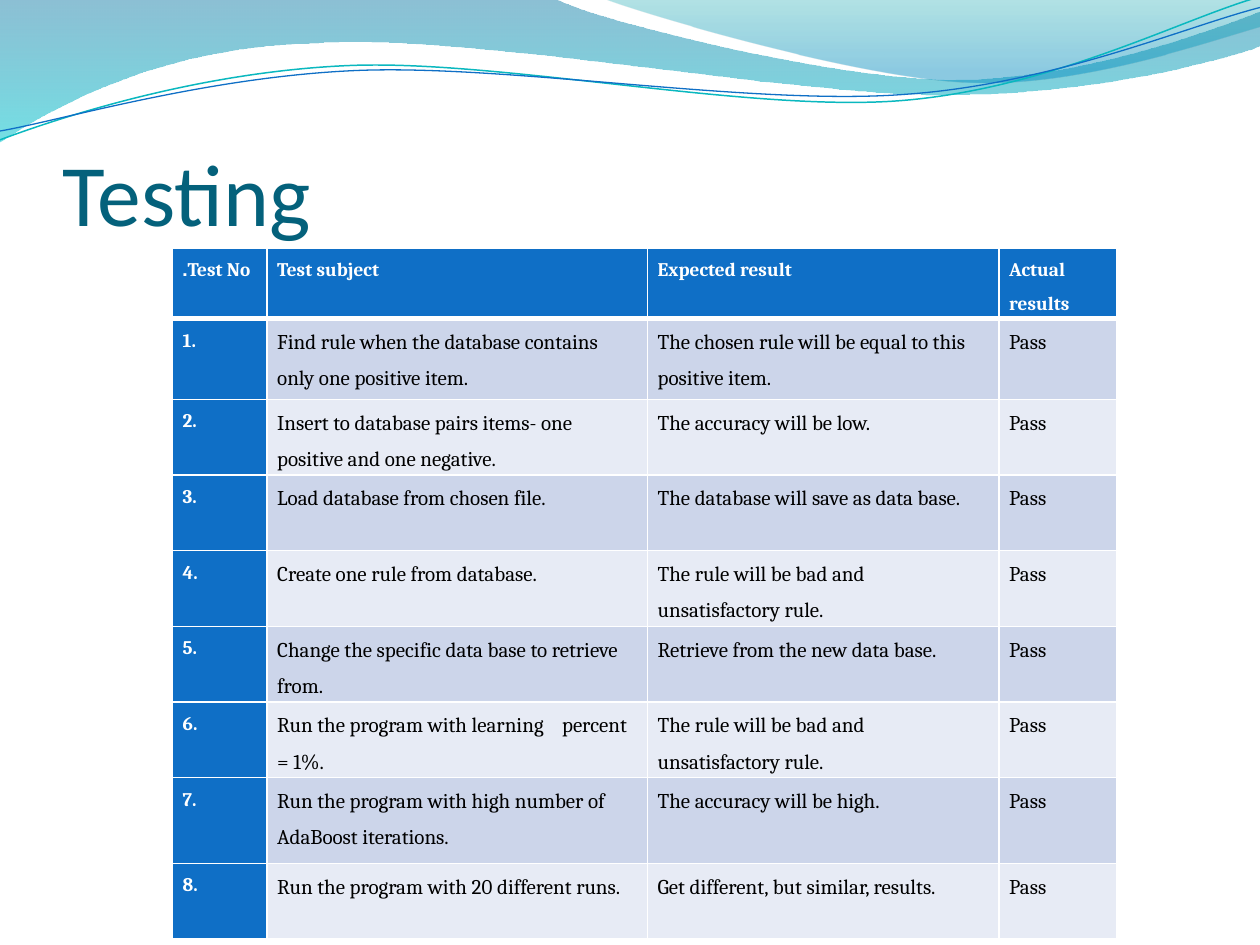
import math
import pptx
import pptx.util
import pptx.dml.color
import pptx.enum.text
import pptx.oxml
import pptx.oxml.ns

Inches = pptx.util.Inches
Pt = pptx.util.Pt
PP_ALIGN = pptx.enum.text.PP_ALIGN
qn = pptx.oxml.ns.qn
NS = pptx.oxml.ns.nsdecls("a")
TILT = 357.3
COLORS = {
    "white": "FFFFFF", "black": "000000", "title": "04617B", "blue": "0F6FC6",
    "teal": "0AB8BF", "odd": "CCD5EA", "even": "E7EBF5",
    "deep": "0074A1", "aqua": "00C6CF", "sea": "00A1A9", "sky": "008BBF",
}
HEADER = ["Test No.", "Test subject", "Expected result", "Actual results"]
TESTS = [
    ("Find rule when the database contains only one positive item.",
     "The chosen rule will be equal to this positive item."),
    ("Insert to database pairs items- one positive and one negative.",
     "The accuracy will be low."),
    ("Load database from chosen file.", "The database will save as data base."),
    ("Create one rule from database.", "The rule will be bad and unsatisfactory rule."),
    ("Change the specific data base to retrieve from.", "Retrieve from the new data base."),
    ("Run the program with learning    percent = 1%.",
     "The rule will be bad and unsatisfactory rule."),
    ("Run the program with high number of AdaBoost iterations.", "The accuracy will be high."),
    ("Run the program with 20 different runs.", "Get different, but similar, results."),
]
COLUMNS = [0.75, 3.02, 2.79, 0.93]
ROWS = [0.56, 0.64, 0.6, 0.6, 0.6, 0.6, 0.6, 0.68, 0.6]
BANDS = [
    ([(0, 0), (4.4, -0.01), (4.76, 0.17, 6.64, 0.63, 7.58, 0.63),
      (8.53, 0.63, 9.58, 0.26, 10, 0.09), (10.01, 0.36),
      (9.83, 0.44, 8.7, 0.76, 7.46, 0.75), (6.22, 0.75, 3.82, 0.28, 2.57, 0.34),
      (1.29, 0.36, 0.46, 0.83, -0.01, 1.13), (0, 0)],
     [(0, "deep", 45), (1, "aqua", 55)]),
    ([(4.79, -0.01), (5.09, 0.11, 6.82, 0.62, 7.69, 0.65),
      (8.56, 0.69, 9.61, 0.32, 10, 0.21), (10, 0), (4.79, -0.01)],
     [(0, "sea", 30), (0.8, "sky", 45)]),
]
LINES = [
    ([(0, 1.11), (0.48, 0.93, 1.58, 0.57, 2.77, 0.52),
      (3.95, 0.47, 5.93, 0.89, 7.13, 0.8), (8.33, 0.71, 9.38, 0.15, 9.98, -0.02)],
     (4.99, 0.58), "teal", 0.85),
    ([(0, 1.04), (0.47, 0.96, 1.64, 0.61, 2.83, 0.56),
      (4.03, 0.51, 5.97, 0.84, 7.17, 0.75), (8.36, 0.67, 9.41, 0.21, 10, 0.06)],
     (5, 0.59), "blue", 0.75),
]


def rgb(name):
    return pptx.dml.color.RGBColor.from_string(COLORS[name])


def set_attrs(obj, values):
    for name, value in values.items():
        setattr(obj, name, value)


def write(p, text, font, color):
    r = p.add_run()
    r.text = text
    set_attrs(r.font, font)
    r.font.color.rgb = rgb(color)


def level(step, center):
    angle = math.radians(360 - TILT)
    cos, sin = math.cos(angle), math.sin(angle)
    cx, cy = center
    flat = []
    for px, py in zip(step[::2], step[1::2]):
        dx, dy = px - cx, py - cy
        flat += [cx + dx * cos - dy * sin, cy + dx * sin + dy * cos]
    return flat


def add_curve(s, x, y, steps, close):
    points = [(Inches(x + px), Inches(y + py))
              for step in steps for px, py in zip(step[::2], step[1::2])]
    builder = s.shapes.build_freeform(*points[0], scale=1.0)
    builder.add_line_segments(points[1:], close=close)
    sp = builder.convert_to_shape()
    sp.shadow.inherit = False
    segments = iter(list(sp.element.iter(qn("a:lnTo"))))
    for step in steps[1:]:
        group = [next(segments) for _ in range(len(step) // 2)]
        if len(group) == 3:
            bezier = pptx.oxml.parse_xml(f"<a:cubicBezTo {NS}/>")
            group[0].addprevious(bezier)
            for segment in group:
                bezier.append(segment[0])
                segment.getparent().remove(segment)
    return sp


def add_waves(s, x, y):
    for steps, stops in BANDS:
        sp = add_curve(s, x, y, steps, True)
        sp.line.fill.background()
        sp.fill.gradient()
        sp.fill.gradient_angle = 270
        for stop, (position, color, _) in zip(sp.fill.gradient_stops, stops):
            stop.position = position
            stop.color.rgb = rgb(color)
        for clr, (_, _, opacity) in zip(sp.element.spPr.iter(qn("a:srgbClr")), stops):
            clr.append(pptx.oxml.parse_xml(f'<a:alpha {NS} val="{opacity * 1000}"/>'))
    for steps, center, color, width in LINES:
        sp = add_curve(s, x, y, [level(step, center) for step in steps], False)
        sp.rotation = TILT
        sp.fill.background()
        sp.line.color.rgb = rgb(color)
        sp.line.width = Pt(width)


def add_title(s, x, y, w, h):
    tf = s.shapes.add_textbox(Inches(x), Inches(y), Inches(w), Inches(h)).text_frame
    set_attrs(tf, {"word_wrap": True, "vertical_anchor": pptx.enum.text.MSO_ANCHOR.BOTTOM,
                   "margin_left": 0, "margin_right": 0, "margin_bottom": 0})
    write(tf.paragraphs[0], "Testing", {"size": Pt(50), "name": "Calibri"}, "title")


def add_borders(cell, bottom):
    tcPr = cell._tc.get_or_add_tcPr()
    widths = {"lnL": 1, "lnR": 1, "lnT": 1, "lnB": bottom}
    for i, (side, width) in enumerate(widths.items()):
        tcPr.insert(i, pptx.oxml.parse_xml(
            f'<a:{side} {NS} w="{Pt(width)}"><a:solidFill>'
            f'<a:srgbClr val="{COLORS["white"]}"/></a:solidFill></a:{side}>'))


def fill_cell(cell, text, row, col):
    label = row == 0 or col == 0
    set_attrs(cell, {"margin_left": Inches(0.08), "margin_right": Inches(0.08),
                     "margin_top": 0, "margin_bottom": 0})
    cell.fill.solid()
    cell.fill.fore_color.rgb = rgb("blue" if label else "odd" if row % 2 else "even")
    p = cell.text_frame.paragraphs[0]
    set_attrs(p, {"line_spacing": 1.5,
                  "alignment": PP_ALIGN.JUSTIFY if row and col == 0 else PP_ALIGN.LEFT})
    if row == 0 and col < 3:
        p._p.get_or_add_pPr().set("rtl", "1")
    font = {"size": Pt(11 if label else 12), "name": "Cambria", "bold": label}
    write(p, text, font, "white" if label else "black")
    add_borders(cell, 1 if row else 3)


def add_tests(s, x, y, w, h):
    data = [HEADER] + [(f"{i}.", *test, "Pass") for i, test in enumerate(TESTS, 1)]
    table = s.shapes.add_table(len(data), len(HEADER), Inches(x), Inches(y),
                               Inches(w), Inches(h)).table
    set_attrs(table, {"first_row": False, "horz_banding": False})
    for column, width in zip(table.columns, COLUMNS):
        column.width = Inches(width)
    for row, height in zip(table.rows, ROWS):
        row.height = Inches(height)
    for i, texts in enumerate(data):
        for j, text in enumerate(texts):
            fill_cell(table.cell(i, j), text, i, j)


prs = pptx.Presentation()
set_attrs(prs, {"slide_width": Inches(10), "slide_height": Inches(7.5)})
s = prs.slides.add_slide(prs.slide_layouts[6])
add_waves(s, 0, 0)
add_title(s, 0.5, 0.69, 8.33, 1.25)
add_tests(s, 1.37, 1.97, sum(COLUMNS), sum(ROWS))
prs.save("out.pptx")
